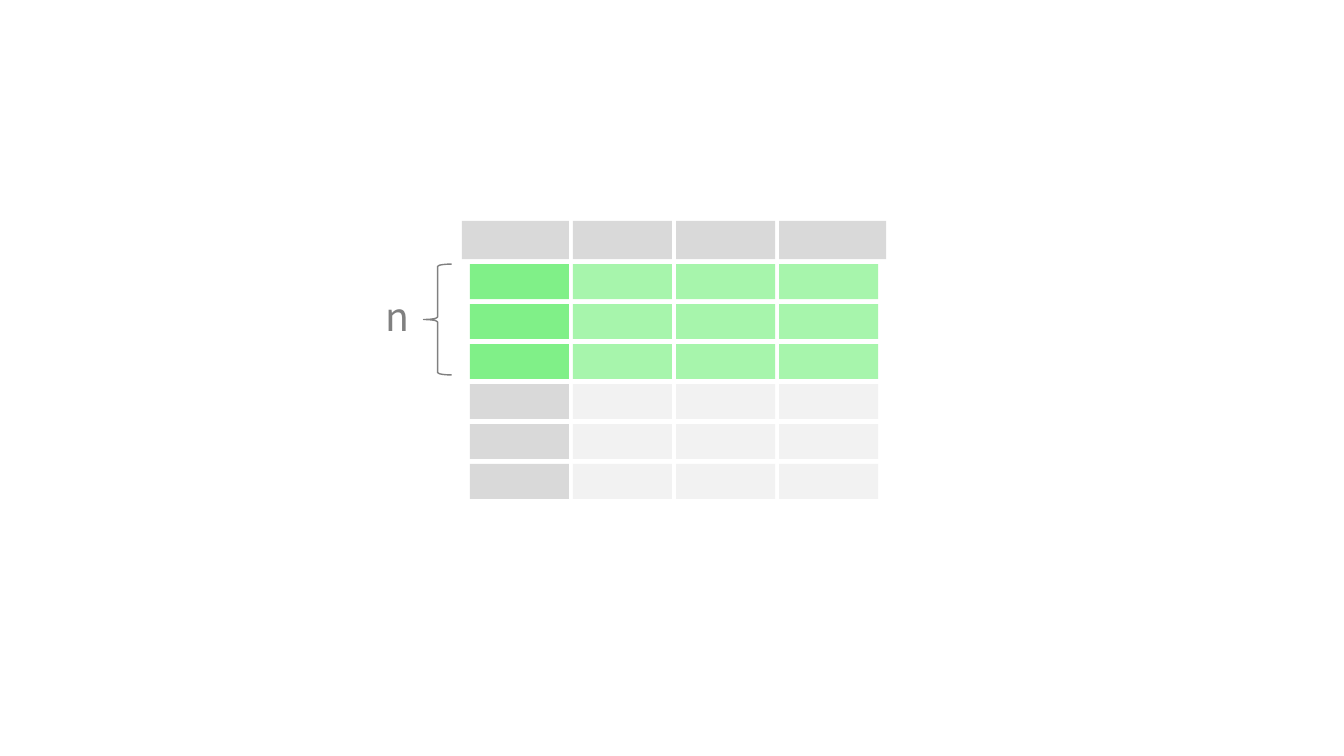
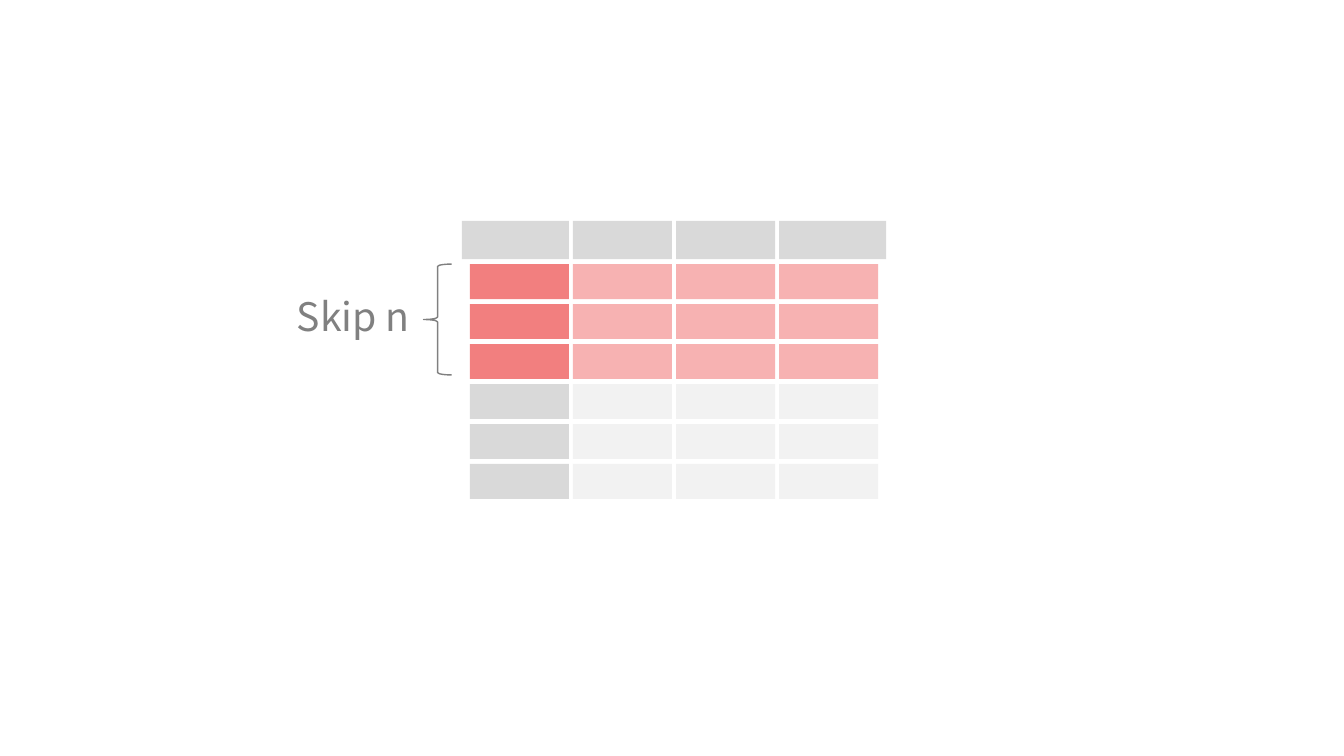
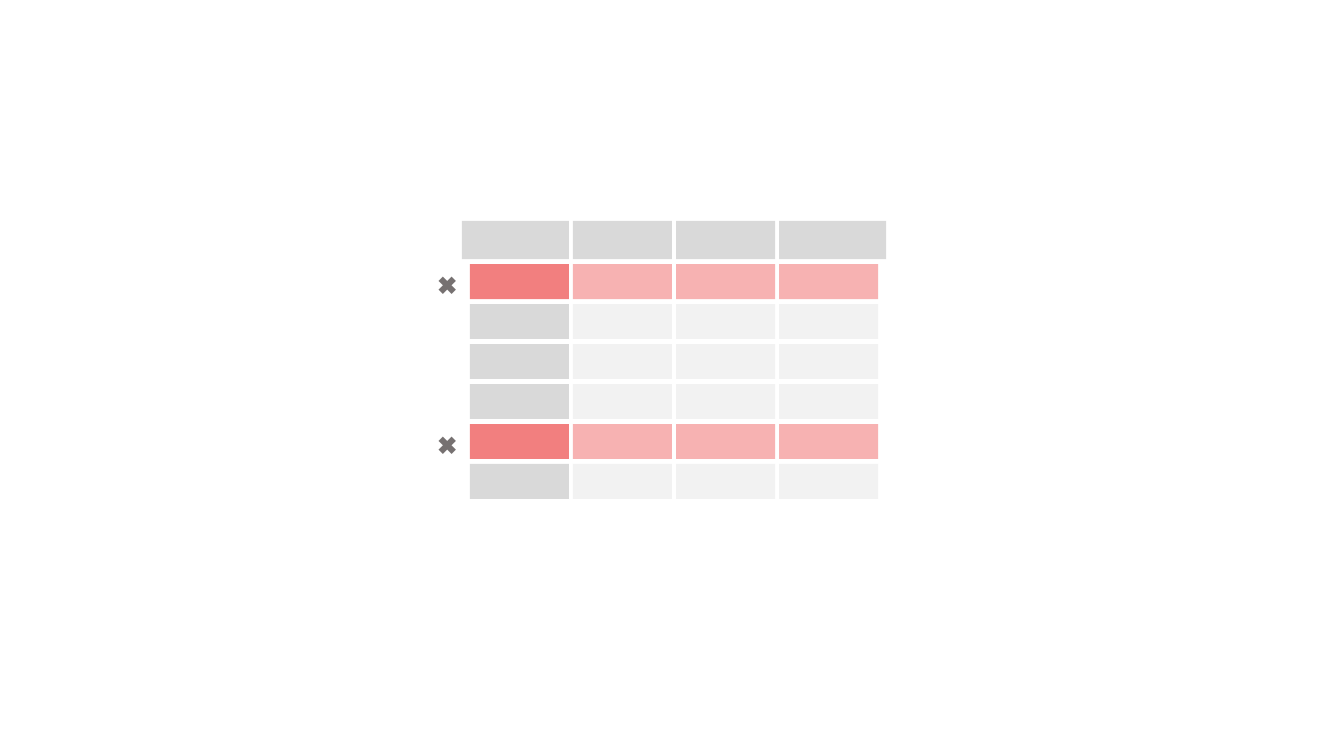
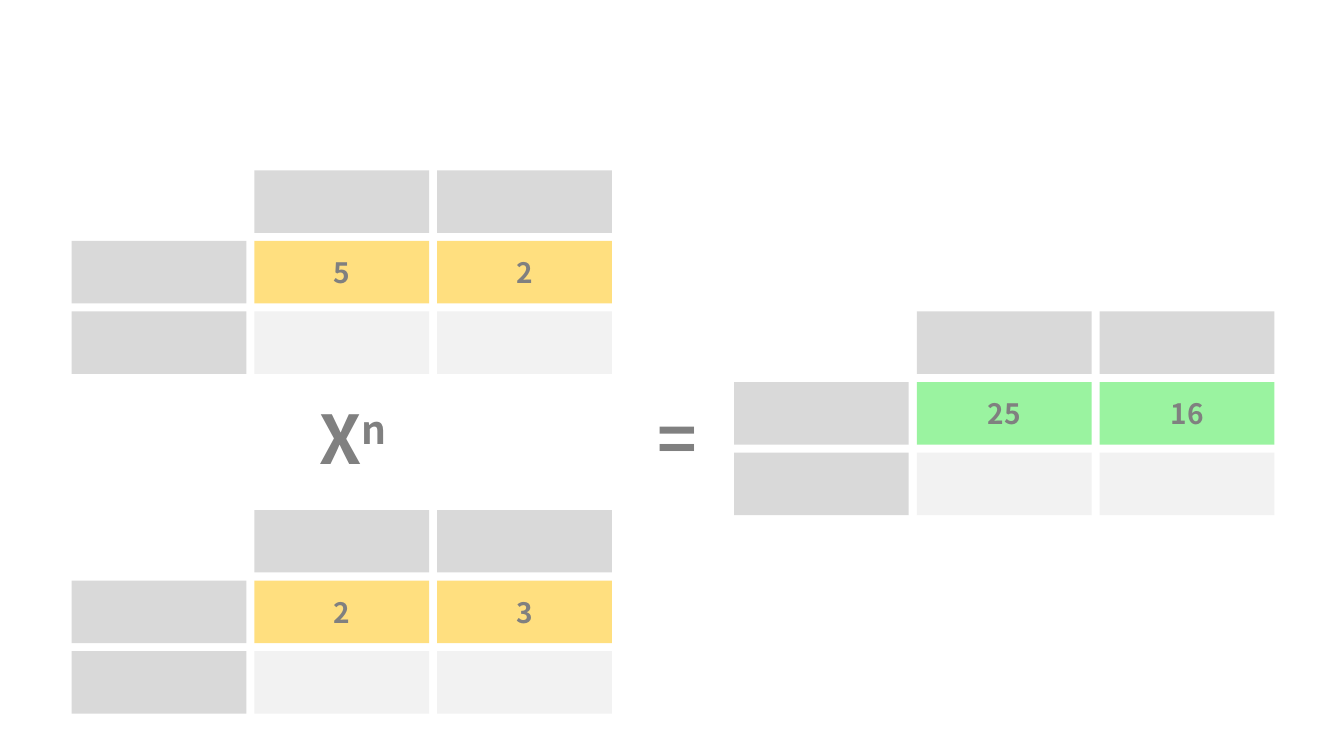
"""Build four slides that explain row selection and element-wise powers with grids."""
from dataclasses import dataclass

from lxml import etree
from pptx import Presentation
from pptx.dml.color import RGBColor
from pptx.enum.shapes import MSO_SHAPE
from pptx.enum.text import MSO_ANCHOR, MSO_AUTO_SIZE, PP_ALIGN
from pptx.oxml.ns import qn
from pptx.util import Inches, Pt

RECTANGLE, LEFT_BRACE = MSO_SHAPE.RECTANGLE, MSO_SHAPE.LEFT_BRACE
MIDDLE, GROW = MSO_ANCHOR.MIDDLE, MSO_AUTO_SIZE.SHAPE_TO_FIT_TEXT
CENTER, RIGHT = PP_ALIGN.CENTER, PP_ALIGN.RIGHT


@dataclass(frozen=True)
class Theme:
    font: str = "Noto Sans CJK SC"
    ink: str = "808080"
    cross: str = "767171"
    header: str = "D9D9D9"
    body: str = "F2F2F2"
    green: str = "03E313"
    red: str = "E60000"
    amber: str = "FFC000"
    cross_size: int = 18
    value_size: int = 20
    label_size: int = 28
    operator_size: int = 48


@dataclass(frozen=True)
class Grid:
    left: float
    top: float
    width: float
    height: float
    columns: int
    rows: int
    gap_x: float
    gap_y: float

    def cell(self, row, column):
        """Return left, top, width and height of one cell."""
        width = (self.width - self.gap_x * (self.columns - 1)) / self.columns
        height = (self.height - self.gap_y * (self.rows - 1)) / self.rows
        return (self.left + column * (width + self.gap_x),
                self.top + row * (height + self.gap_y), width, height)


THEME = Theme()

ROW_SLIDES = [
    {"rows": (0, 1, 2), "color": THEME.green, "index_alpha": 50, "body_alpha": 35,
     "label": "n", "label_width": 1.86},
    {"rows": (0, 1, 2), "color": THEME.red, "index_alpha": 50, "body_alpha": 30,
     "label": "Skip n", "label_width": 2.92},
    {"rows": (0, 4), "color": THEME.red, "index_alpha": 50, "body_alpha": 30,
     "label": None},
]
FRAME = Grid(4.66, 2.62, 4.05, 2.33, 4, 6, 0.04, 0.05)
HEADER_TOP, HEADER_HEIGHT, HEADER_OVERHANG = 2.19, 0.38, 0.08
BRACE = (4.2, 2.62, 0.28, 1.1)
LABEL_RIGHT, LABEL_TOP, LABEL_HEIGHT = 4.16, 2.85, 0.57
CROSS_LEFT, CROSS_WIDTH, CROSS_HEIGHT = 4.24, 0.33, 0.4

POWER_TABLES = [
    (0.71, 1.69, ("5", "2"), THEME.amber, 50),
    (0.71, 5.06, ("2", "3"), THEME.amber, 50),
    (7.28, 3.09, ("25", "16"), THEME.green, 40),
]
OPERATORS = [
    (1.32, [("X", 0), ("n ", 30)]),
    (4.49, [("=", 0)]),
]
OPERATOR_TOP, OPERATOR_WIDTH, OPERATOR_HEIGHT = 3.89, 4.45, 0.91


def add_runs(paragraph, runs, size, color, bold=False):
    for text, raised in runs:
        run = paragraph.add_run()
        run.text = text
        run.font.size = Pt(size)
        run.font.bold = bold
        run.font.color.rgb = RGBColor.from_string(color)
        run.font.name = THEME.font
        properties = run._r.get_or_add_rPr()
        etree.SubElement(properties, qn("a:ea"), typeface=THEME.font)
        if raised:
            properties.set("baseline", str(raised * 1000))


def add_text(slide, box, runs, size, color, align, bold=False):
    frame = slide.shapes.add_textbox(*map(Inches, box)).text_frame
    frame.word_wrap = True
    frame.auto_size = GROW
    frame.paragraphs[0].alignment = align
    add_runs(frame.paragraphs[0], runs, size, color, bold)


def add_cell(slide, box, color, alpha=100, value=None):
    cell = slide.shapes.add_shape(RECTANGLE, *map(Inches, box))
    cell.shadow.inherit = False
    cell.line.fill.background()
    cell.fill.solid()
    cell.fill.fore_color.rgb = RGBColor.from_string(color)
    if alpha < 100:
        tint = cell._element.spPr.find(".//" + qn("a:srgbClr"))
        etree.SubElement(tint, qn("a:alpha"), val=str(alpha * 1000))
    if value:
        cell.text_frame.vertical_anchor = MIDDLE
        paragraph = cell.text_frame.paragraphs[0]
        paragraph.alignment = CENTER
        add_runs(paragraph, [(value, 0)], THEME.value_size, THEME.ink, True)


def add_brace(slide):
    brace = slide.shapes.add_shape(LEFT_BRACE, *map(Inches, BRACE))
    brace.shadow.inherit = False
    brace.fill.background()
    brace.line.color.rgb = RGBColor.from_string(THEME.ink)
    brace.line.width = Pt(1)


def add_frame_header(slide):
    last = FRAME.columns - 1
    for column in range(FRAME.columns):
        left, _, width, _ = FRAME.cell(0, column)
        if column == 0:
            left -= HEADER_OVERHANG
        if column in (0, last):
            width += HEADER_OVERHANG
        add_cell(slide, (left, HEADER_TOP, width, HEADER_HEIGHT), THEME.header)


def build_row_slide(slide, content):
    add_frame_header(slide)
    for row in range(FRAME.rows):
        for column in range(FRAME.columns):
            is_index = column == 0
            if row in content["rows"]:
                color = content["color"]
                alpha = content["index_alpha" if is_index else "body_alpha"]
            else:
                color, alpha = THEME.header if is_index else THEME.body, 100
            add_cell(slide, FRAME.cell(row, column), color, alpha)
    if content["label"]:
        add_brace(slide)
        width = content["label_width"]
        add_text(slide, (LABEL_RIGHT - width, LABEL_TOP, width, LABEL_HEIGHT),
                 [(content["label"], 0)], THEME.label_size, THEME.ink, RIGHT)
    else:
        for row in content["rows"]:
            top = FRAME.cell(row, 0)[1]
            add_text(slide, (CROSS_LEFT, top, CROSS_WIDTH, CROSS_HEIGHT),
                     [("✖", 0)], THEME.cross_size, THEME.cross, CENTER)


def build_power_slide(slide):
    for left, top, values, color, alpha in POWER_TABLES:
        grid = Grid(left, top, 5.36, 2.02, 3, 3, 0.08, 0.08)
        for row in range(grid.rows):
            for column in range(grid.columns):
                box = grid.cell(row, column)
                if row == 0 and column == 0:
                    continue
                if row == 0 or column == 0:
                    add_cell(slide, box, THEME.header)
                elif row == 1:
                    add_cell(slide, box, color, alpha, values[column - 1])
                else:
                    add_cell(slide, box, THEME.body)
    for left, runs in OPERATORS:
        add_text(slide, (left, OPERATOR_TOP, OPERATOR_WIDTH, OPERATOR_HEIGHT),
                 runs, THEME.operator_size, THEME.ink, CENTER, True)


def main():
    deck = Presentation()
    deck.slide_width, deck.slide_height = Inches(13.33), Inches(7.5)
    blank = deck.slide_layouts[6]
    for content in ROW_SLIDES:
        build_row_slide(deck.slides.add_slide(blank), content)
    build_power_slide(deck.slides.add_slide(blank))
    deck.save("out.pptx")


if __name__ == "__main__":
    main()
